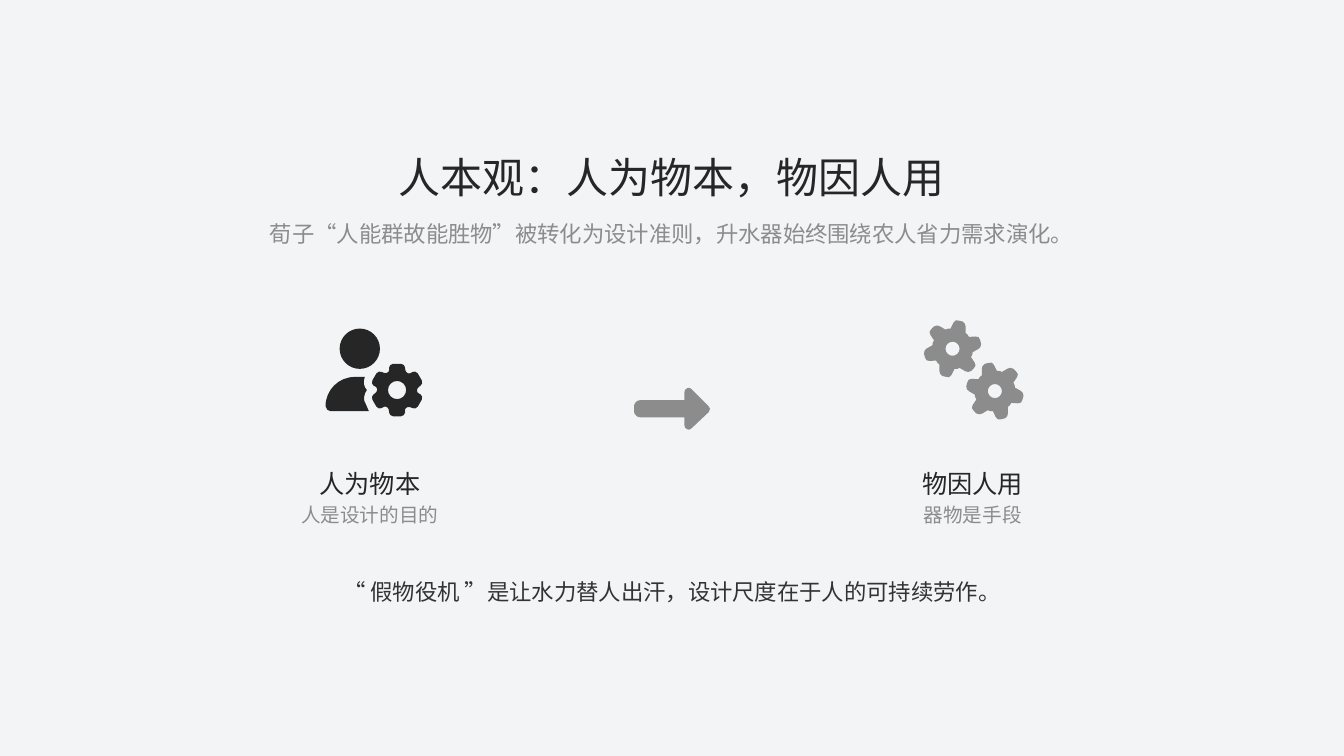
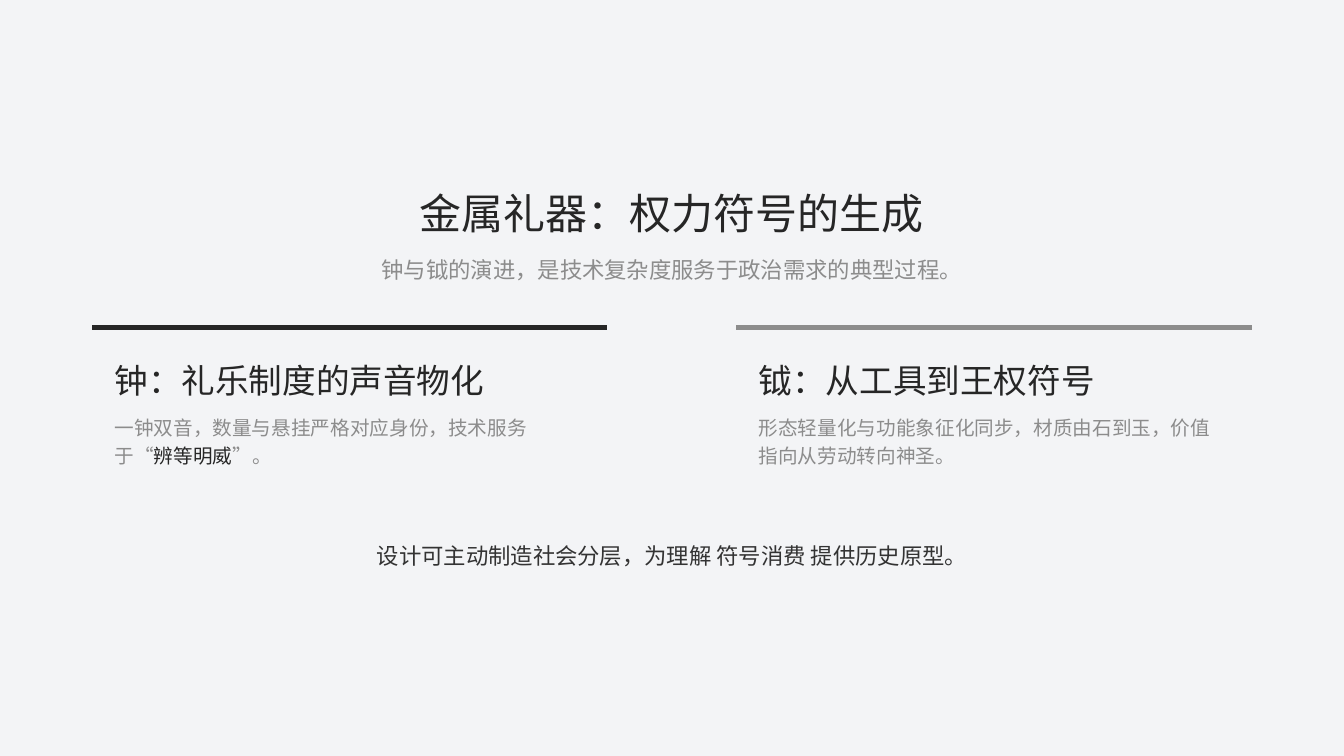
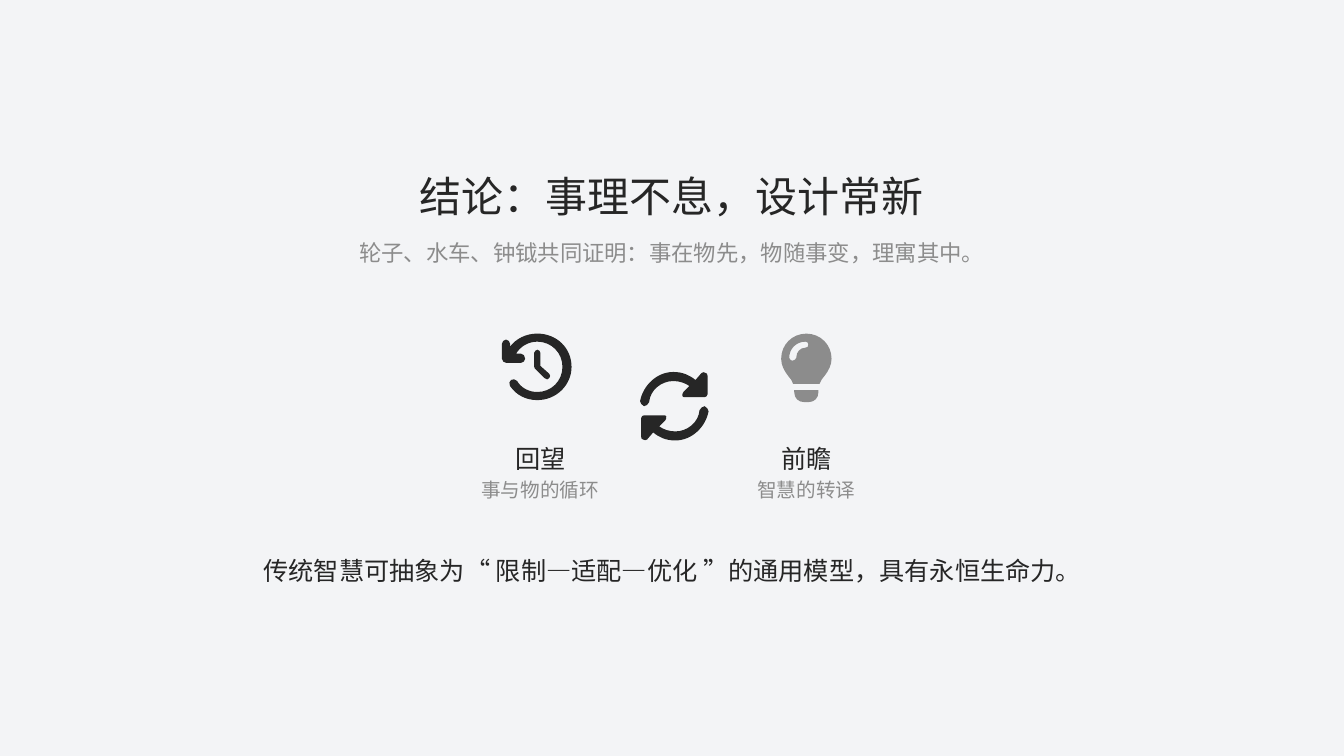
from math import cos, pi, sin

from lxml.etree import Element, SubElement
from pptx import Presentation
from pptx.dml.color import RGBColor as Rgb
from pptx.enum.shapes import MSO_CONNECTOR as Connector
from pptx.enum.text import MSO_ANCHOR as Anchor, MSO_AUTO_SIZE as AutoSize, PP_ALIGN as Align
from pptx.oxml.ns import qn
from pptx.util import Inches, Pt

FONT = "Noto Sans CJK SC"
COLORS = {"page": "F3F4F6", "ink": "262626", "muted": "8C8C8C", "body": "333333"}
STYLES = {
    "title": {"size": 30, "color": "ink", "spacing": 1.0, "align": Align.CENTER},
    "subtitle": {"size": 16, "color": "muted", "spacing": 1.3, "align": Align.CENTER},
    "label": {"size": 18, "color": "ink", "spacing": 1.3, "align": Align.CENTER},
    "note": {"size": 14, "color": "muted", "spacing": 1.2, "align": Align.CENTER},
    "heading": {"size": 24, "color": "ink", "spacing": 1.1, "align": Align.LEFT},
    "detail": {"size": 14, "color": "muted", "spacing": 1.2, "align": Align.LEFT},
    "closing": {"size": 16, "color": "body", "spacing": 1.3, "align": Align.CENTER},
}
WIDTH, HEIGHT = 40 / 3, 7.5
MARGIN = 11 / 12
COLUMN_WIDTH = 5.11
CAPTION_WIDTH = 1.92

# Outlines are in inches around an icon's centre.
# A pair is a straight line; six numbers are a Bézier curve.
WIDE_TOOTH = [
    (-.08, -.22), (-.08, -.24, -.06, -.26, -.04, -.26), (.04, -.26),
    (.06, -.26, .08, -.24, .08, -.22), (.08, -.21), (.08, -.18, .11, -.15, .14, -.17),
]
SLIM_TOOTH = [
    (-.13, -.22), (-.13, -.24, -.12, -.26, -.1, -.27), (-.06, -.28),
    (-.04, -.29, -.02, -.28, -.01, -.26), (.02, -.2), (.04, -.2, .06, -.2, .07, -.19),
]
SHOULDERS = [
    (-.42, -.13), (-.32, -.13), (-.34, -.08, -.33, -.03, -.3, 0),
    (-.33, .04, -.34, .1, -.31, .14), (-.28, .21), (-.66, .21),
    (-.68, .21, -.71, .19, -.71, .16), (-.71, 0, -.58, -.13, -.42, -.13),
]
ARROW = [
    (.36, -.03), (.38, -.02, .38, .01, .36, .03), (.19, .19),
    (.18, .2, .16, .21, .15, .2), (.13, .19, .12, .18, .12, .16), (.12, .08),
    (-.32, .08), (-.35, .08, -.38, .05, -.38, .02), (-.38, -.03),
    (-.38, -.06, -.35, -.09, -.32, -.09), (.12, -.09), (.12, -.17),
    (.12, -.19, .13, -.2, .15, -.21), (.16, -.22, .18, -.21, .19, -.2),
]
REWIND = [
    (0, -.25), (.14, -.25, .25, -.14, .25, 0), (.25, .14, .14, .25, 0, .25),
    (-.08, .25, -.16, .21, -.2, .14), (-.22, .12, -.24, .12, -.26, .13),
    (-.28, .14, -.28, .17, -.27, .19), (-.21, .28, -.11, .33, 0, .33),
    (.19, .33, .34, .18, .34, 0), (.34, -.19, .19, -.33, 0, -.33),
    (-.11, -.33, -.21, -.28, -.27, -.2), (-.27, -.23),
    (-.27, -.25, -.29, -.27, -.31, -.27), (-.33, -.27, -.35, -.25, -.35, -.23),
    (-.35, -.08), (-.35, -.06, -.33, -.04, -.31, -.04), (-.16, -.04),
    (-.14, -.04, -.12, -.06, -.12, -.08), (-.12, -.11, -.14, -.13, -.16, -.13),
    (-.21, -.13), (-.17, -.2, -.09, -.25, 0, -.25),
]
CLOCK_HANDS = [
    (.03, -.14), (.03, -.15, .02, -.17, 0, -.17), (-.01, -.17, -.03, -.15, -.03, -.14),
    (-.03, 0), (-.03, .01, -.02, .02, -.02, .02), (.07, .11),
    (.09, .13, .11, .13, .12, .11), (.13, .1, .13, .08, .12, .07), (.03, -.01),
]
CYCLE_HALF = [
    (.29, -.09), (.3, -.09), (.31, -.09, .33, -.1, .33, -.12), (.33, -.3),
    (.33, -.32, .32, -.33, .31, -.33), (.3, -.34, .28, -.34, .27, -.33), (.21, -.26),
    (.15, -.31, .08, -.34, -.01, -.34), (-.17, -.34, -.31, -.21, -.34, -.05),
    (-.34, -.03, -.32, -.01, -.3, 0), (-.28, 0, -.26, -.02, -.25, -.04),
    (-.24, -.16, -.13, -.25, -.01, -.25), (.05, -.25, .11, -.23, .15, -.2),
    (.09, -.14), (.08, -.13, .08, -.12, .08, -.1), (.08, -.09, .1, -.09, .11, -.09),
]
BULB_GLASS = [
    (.13, .25), (.14, .22, .16, .19, .18, .17), (.22, .12, .25, .06, .25, 0),
    (.25, -.14, .14, -.25, 0, -.25), (-.14, -.25, -.25, -.14, -.25, 0),
    (-.25, .06, -.22, .12, -.18, .17), (-.16, .19, -.14, .22, -.13, .25),
]
BULB_BASE = [
    (.12, .31), (-.12, .31), (-.12, .33), (-.12, .39, -.08, .43, -.02, .43),
    (.02, .43), (.08, .43, .12, .39, .12, .33),
]
BULB_GLINT = [
    (-.01, -.11), (-.06, -.11, -.1, -.07, -.1, -.01), (-.1, 0, -.12, .02, -.14, .02),
    (-.15, .02, -.17, 0, -.17, -.01), (-.17, -.1, -.1, -.17, -.01, -.17),
    (.01, -.17, .02, -.16, .02, -.14), (.02, -.12, .01, -.11, -.01, -.11),
]


def pairs(segment):
    return list(zip(segment[::2], segment[1::2]))


def turned(segments, angle):
    return [tuple(value for x, y in pairs(segment)
                  for value in (x * cos(angle) - y * sin(angle),
                                x * sin(angle) + y * cos(angle)))
            for segment in segments]


def moved(segments, center, flip=1):
    """Shift an outline to a centre; flip -1 mirrors it first."""
    return [tuple(value for x, y in pairs(segment)
                  for value in (center[0] + flip * x, center[1] + y))
            for segment in segments]


def circle(radius):
    pull = radius * 0.55
    quarter = [(radius, pull, pull, radius, 0, radius)]
    curves = [curve for i in range(4) for curve in turned(quarter, i * pi / 2)]
    return [(radius, 0)] + curves


def gear(tooth, hole):
    """Rim of six equal teeth and a round hole."""
    rim = [segment for i in range(6) for segment in turned(tooth, i * pi / 3)]
    return [rim, circle(hole)]


def bend_curves(icon, contours):
    """Replace the straight lines of a freeform by its Bézier curves."""
    lines = iter(list(icon._element.iter(qn("a:lnTo"))))
    for segment in (part for contour in contours for part in contour[1:]):
        line = next(lines)
        if len(segment) == 2:
            continue
        curve = Element(qn("a:cubicBezTo"))
        for x, y in pairs(segment):
            SubElement(curve, qn("a:pt"), x=str(Inches(x) - icon.left),
                       y=str(Inches(y) - icon.top))
        line.getparent().replace(line, curve)


def add_icon(slide, center, contours, color):
    placed = [moved(contour, center) for contour in contours]
    corners = [[tuple(map(Inches, segment[-2:])) for segment in contour] for contour in placed]
    builder = slide.shapes.build_freeform(*corners[0][0], scale=1.0)
    for index, contour in enumerate(corners):
        if index:
            builder.move_to(*contour[0])
        builder.add_line_segments(contour[1:], close=True)
    icon = builder.convert_to_shape()
    bend_curves(icon, placed)
    icon.shadow.inherit = False
    icon.fill.solid()
    icon.fill.fore_color.rgb = Rgb.from_string(COLORS[color])
    icon.line.fill.background()


def write(box, spans, style):
    """Fill a box with text, or with (text, colour) spans."""
    form = STYLES[style]
    frame = box.text_frame
    settings = {"word_wrap": True, "auto_size": AutoSize.NONE, "vertical_anchor": Anchor.MIDDLE,
                "margin_left": 0, "margin_right": 0, "margin_top": 0, "margin_bottom": 0}
    for name, value in settings.items():
        setattr(frame, name, value)
    para = frame.paragraphs[0]
    para.alignment, para.line_spacing = form["align"], form["spacing"]
    if isinstance(spans, str):
        spans = [(spans, form["color"])]
    for text, color in spans:
        span = para.add_run()
        span.text = text
        span.font.name, span.font.size = FONT, Pt(form["size"])
        span.font.color.rgb = Rgb.from_string(COLORS[color])
        SubElement(span.font._element, qn("a:ea"), typeface=FONT)


def add_text(slide, left, top, width, height, spans, style):
    box = slide.shapes.add_textbox(*map(Inches, (left, top, width, height)))
    write(box, spans, style)


def add_page(deck, top, title, subtitle):
    slide = deck.slides.add_slide(deck.slide_layouts[5])
    heading = slide.shapes.title
    place = {"left": 0, "top": top, "width": WIDTH, "height": 0.5}
    for name, value in place.items():
        setattr(heading, name, Inches(value))
    write(heading, title, "title")
    add_text(slide, 0, top + 0.61, WIDTH, 0.33, subtitle, "subtitle")
    return slide


def add_caption(slide, center, top, label, note):
    left = center - CAPTION_WIDTH / 2
    add_text(slide, left, top, CAPTION_WIDTH, 0.39, label, "label")
    add_text(slide, left, top + 0.38, CAPTION_WIDTH, 0.28, note, "note")


def add_closing(slide, top, height, text, style="closing"):
    add_text(slide, 0.28, top, 12.78, height, text, style)


def add_column(slide, left, color, heading, detail):
    rule = slide.shapes.add_connector(
        Connector.STRAIGHT, *map(Inches, (left, 3.25, left + COLUMN_WIDTH, 3.25)))
    rule.line.color.rgb = Rgb.from_string(COLORS[color])
    rule.line.width = Pt(4)
    SubElement(rule._element.spPr, qn("a:effectLst"))
    add_text(slide, left + 0.22, 3.53, 5.22, 0.44, heading, "heading")
    add_text(slide, left + 0.22, 4.08, 4.67, 0.56, detail, "detail")


def add_people_page(deck):
    slide = add_page(deck, 1.5, "人本观：人为物本，物因人用",
                     "荀子“人能群故能胜物”被转化为设计准则，升水器始终围绕农人省力需求演化。")
    person = [moved(circle(0.2), (-0.37, -0.41)), SHOULDERS] + gear(WIDE_TOOTH, 0.09)
    gears = [moved(contour, (side * 0.21, side * 0.21), flip=side)
             for side in (1, -1) for contour in gear(SLIM_TOOTH, 0.07)]
    add_icon(slide, (3.94, 3.87), person, "ink")
    add_icon(slide, (6.67, 4.06), [ARROW], "muted")
    add_icon(slide, (9.66, 3.67), gears, "muted")
    add_caption(slide, 3.67, 4.56, "人为物本", "人是设计的目的")
    add_caption(slide, 9.65, 4.56, "物因人用", "器物是手段")
    add_closing(slide, 5.66, 0.33, "“ 假物役机 ”是让水力替人出汗，设计尺度在于人的可持续劳作。")


def add_ritual_page(deck):
    slide = add_page(deck, 1.86, "金属礼器：权力符号的生成",
                     "钟与钺的演进，是技术复杂度服务于政治需求的典型过程。")
    columns = [
        ("ink", "钟：礼乐制度的声音物化",
         [("一钟双音，数量与悬挂严格对应身份，技术服务于“", "muted"),
          ("辨等明威", "ink"), ("”。", "muted")]),
        ("muted", "钺：从工具到王权符号",
         "形态轻量化与功能象征化同步，材质由石到玉，价值指向从劳动转向神圣。"),
    ]
    step = WIDTH - 2 * MARGIN - COLUMN_WIDTH
    for index, column in enumerate(columns):
        add_column(slide, MARGIN + index * step, *column)
    add_closing(slide, 5.31, 0.33, "设计可主动制造社会分层，为理解 符号消费 提供历史原型。")


def add_conclusion_page(deck):
    slide = add_page(deck, 1.69, "结论：事理不息，设计常新",
                     "轮子、水车、钟钺共同证明：事在物先，物随事变，理寓其中。")
    add_icon(slide, (5.33, 3.64), [REWIND, CLOCK_HANDS], "ink")
    add_icon(slide, (6.69, 4.03), [CYCLE_HALF, turned(CYCLE_HALF, pi)], "ink")
    add_icon(slide, (8, 3.56), [BULB_GLASS, BULB_BASE, BULB_GLINT], "muted")
    add_caption(slide, 5.36, 4.31, "回望", "事与物的循环")
    add_caption(slide, 8, 4.31, "前瞻", "智慧的转译")
    add_closing(slide, 5.42, 0.39,
                "传统智慧可抽象为“ 限制—适配—优化 ”的通用模型，具有永恒生命力。", "label")


def main():
    deck = Presentation()
    deck.slide_width, deck.slide_height = Inches(WIDTH), Inches(HEIGHT)
    backdrop = deck.slide_master.background.fill
    backdrop.solid()
    backdrop.fore_color.rgb = Rgb.from_string(COLORS["page"])
    add_people_page(deck)
    add_ritual_page(deck)
    add_conclusion_page(deck)
    deck.save("out.pptx")


if __name__ == "__main__":
    main()
